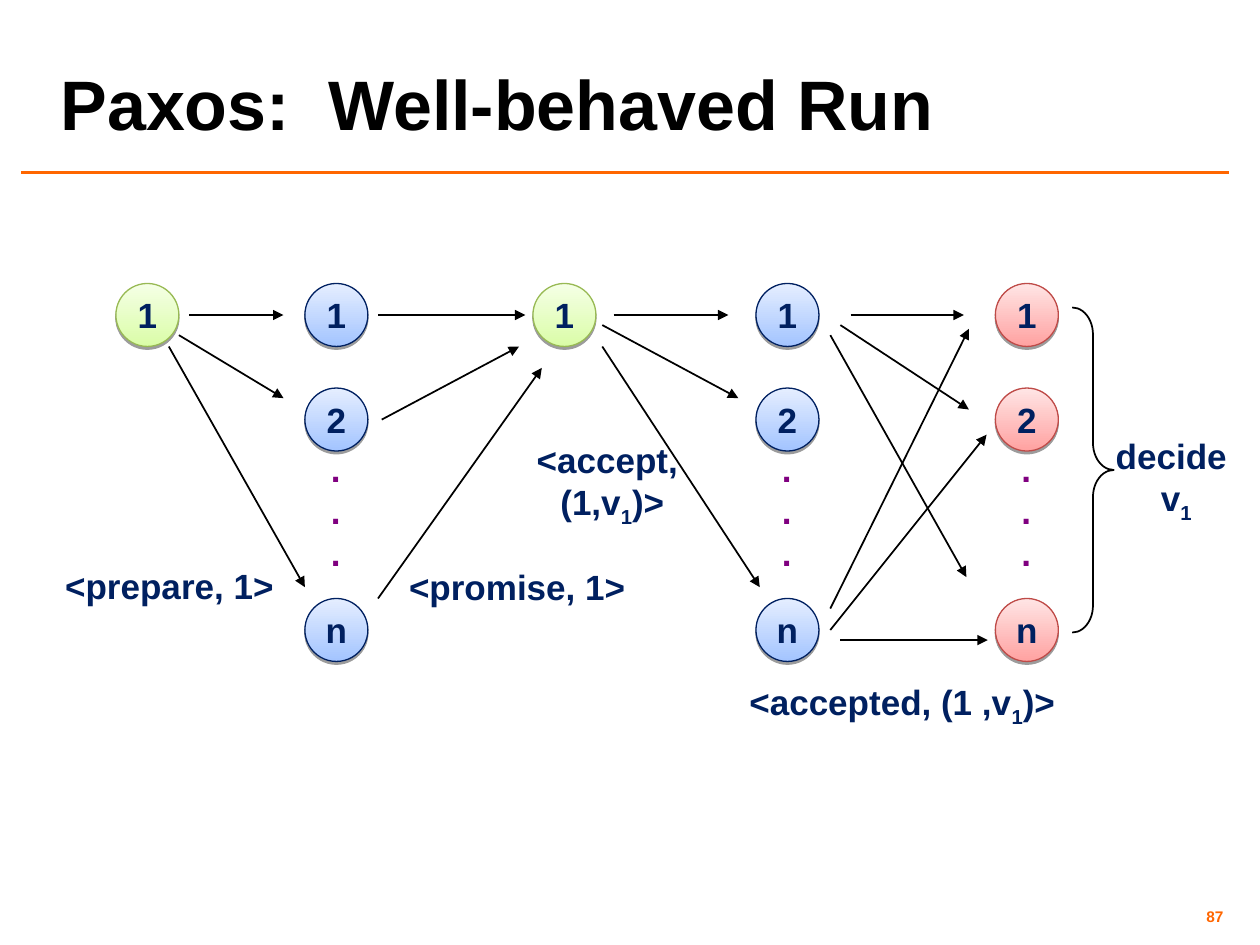
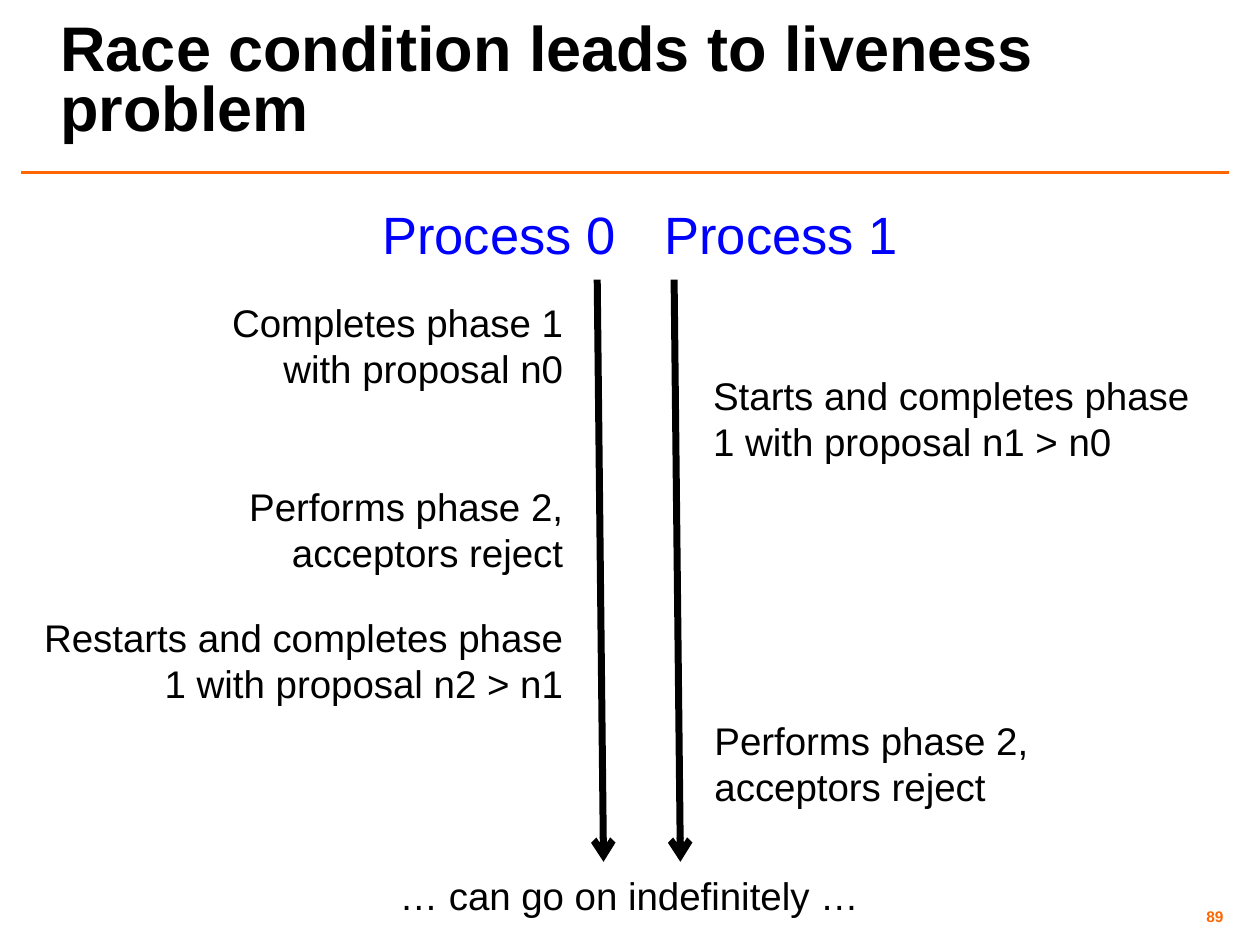
from dataclasses import dataclass

from lxml.etree import SubElement
from pptx import Presentation
from pptx.dml.color import RGBColor
from pptx.enum.shapes import MSO_CONNECTOR, MSO_SHAPE
from pptx.enum.text import MSO_ANCHOR, MSO_AUTO_SIZE, PP_ALIGN
from pptx.oxml.ns import qn
from pptx.util import Emu, Pt

PX = 9144  # 100 px to the inch


@dataclass(frozen=True)
class Theme:
    font: str = "Arial"
    black: str = "000000"
    orange: str = "FF6600"
    navy: str = "002060"
    purple: str = "800080"
    blue: str = "0000FF"
    page_size: float = 8.8
    label_size: int = 20
    step_size: int = 22
    process_size: int = 30


THEME = Theme()
LEFT, CENTER, RIGHT = PP_ALIGN.LEFT, PP_ALIGN.CENTER, PP_ALIGN.RIGHT
WIDE_MARGINS, NARROW_MARGINS = (10, 5), (4, 4)

# Paxos run: role -> (bottom colour, top colour, outline)
ROLE_COLORS = {
    "proposer": ("DAFDA7", "F5FFE6", "98B954"),
    "acceptor": ("A3C4FF", "E5EEFF", THEME.navy),
    "learner": ("FFA2A1", "FFE5E5", "BE4B48"),
}
NODE_SIZE = 50
NODE_TOPS = {"1": 225, "2": 308, "n": 475}
NODE_COLUMNS = [
    (92, "proposer"), (242, "acceptor"), (423, "proposer"),
    (600, "acceptor"), (790, "learner"),
]
MESSAGES = [
    # prepare
    (150, 250, 225, 250), (142, 266, 225, 316), (134, 275, 242, 466),
    # promise
    (300, 250, 417, 250), (303, 333, 412, 275), (300, 475, 430, 292),
    # accept
    (487, 250, 578, 250), (478, 258, 586, 316), (478, 275, 603, 466),
    # accepted
    (675, 250, 765, 250), (667, 258, 769, 325), (659, 266, 767, 458),
    (659, 483, 769, 261), (659, 500, 783, 345), (667, 508, 784, 508),
]
# An underscore puts the next character in subscript
MESSAGE_LABELS = [
    (["<prepare, 1>"], (42, 443, 185, 44)),
    (["<promise, 1>"], (315, 444, 191, 44)),
    (["<accept, ", "(1,v_1)>"], (416, 343, 140, 82)),
    (["<accepted, (1 ,v_1)>"], (585, 535, 262, 48)),
    (["decide ", "v_1"], (855, 340, 157, 82)),
]
DECISION_BRACE = (851, 244, 33, 258)

# Race condition
PROCESSES = [("Process 0", 254), ("Process 1", 478)]
TIMELINES = [(474, 222, 479, 684), (535, 222, 540, 684)]
STEPS = [
    ("Completes phase 1 with proposal n0", (167, 233, 284, 132), RIGHT),
    ("Starts and completes phase 1 with proposal n1 > n0", (562, 291, 396, 129), LEFT),
    ("Performs phase 2, acceptors reject", (154, 379, 297, 93), RIGHT),
    ("Restarts and completes phase 1 with proposal n2 > n1", (24, 483, 427, 103), RIGHT),
    ("Performs phase 2, acceptors reject", (563, 565, 338, 94), LEFT),
    ("… can go on indefinitely …", (285, 688, 429, 45), CENTER),
]


def px(*lengths):
    return [Emu(length * PX) for length in lengths]


def rgb(color):
    return RGBColor.from_string(color)


def set_lines(frame, lines, size, color, align=LEFT, bold=False, spacing=None):
    for index, line in enumerate(lines):
        paragraph = frame.paragraphs[0] if index == 0 else frame.add_paragraph()
        paragraph.alignment = align
        paragraph.line_spacing = spacing
        font = paragraph.font
        font.name, font.size, font.bold = THEME.font, Pt(size), bold
        font.color.rgb = rgb(color)
        base, *lowered = line.split("_")
        paragraph.add_run().text = base
        for part in lowered:
            subscript = paragraph.add_run()
            subscript.text = part[0]
            subscript.font._element.set("baseline", "-25000")
            if part[1:]:
                paragraph.add_run().text = part[1:]


def set_frame(frame, margins, anchor=MSO_ANCHOR.TOP, wrap=True):
    side, edge = px(*margins)
    frame.margin_left = frame.margin_right = side
    frame.margin_top = frame.margin_bottom = edge
    frame.auto_size = MSO_AUTO_SIZE.NONE
    frame.vertical_anchor = anchor
    frame.word_wrap = wrap


def add_text(slide, lines, box, size, color, align=LEFT, bold=False,
             margins=NARROW_MARGINS, anchor=MSO_ANCHOR.TOP, wrap=True, spacing=None):
    frame = slide.shapes.add_textbox(*px(*box)).text_frame
    set_frame(frame, margins, anchor, wrap)
    set_lines(frame, lines, size, color, align, bold, spacing)


def add_line(slide, ends, color, width, head=None):
    connector = slide.shapes.add_connector(MSO_CONNECTOR.STRAIGHT, *px(*ends))
    connector.line.color.rgb = rgb(color)
    connector.line.width = Pt(width)
    properties = connector._element.spPr
    if head:
        SubElement(properties.find(qn("a:ln")), qn("a:tailEnd"), type=head)
    SubElement(properties, qn("a:effectLst"))


def add_node(slide, label, left, top, role):
    bottom_color, top_color, outline = ROLE_COLORS[role]
    node = slide.shapes.add_shape(MSO_SHAPE.OVAL, *px(left, top, NODE_SIZE, NODE_SIZE))
    node.fill.gradient()
    node.fill.gradient_angle = 90
    for stop, color in zip(node.fill.gradient_stops, (bottom_color, top_color)):
        stop.color.rgb = rgb(color)
    node.line.color.rgb = rgb(outline)
    node.line.width = Pt(0.75)
    add_drop_shadow(node)
    set_frame(node.text_frame, WIDE_MARGINS, MSO_ANCHOR.MIDDLE, wrap=False)
    set_lines(node.text_frame, [label], THEME.label_size, THEME.navy, CENTER, bold=True)


def add_drop_shadow(shape):
    shape.shadow.inherit = False
    effects = shape._element.spPr.find(qn("a:effectLst"))
    shadow = SubElement(effects, qn("a:outerShdw"), blurRad="0", dist=str(Pt(1.6)),
                        dir="5400000", rotWithShape="0")
    color = SubElement(shadow, qn("a:srgbClr"), val=THEME.black)
    SubElement(color, qn("a:alpha"), val="38000")


def add_brace(slide, box):
    brace = slide.shapes.add_shape(MSO_SHAPE.RIGHT_BRACE, *px(*box))
    brace.adjustments[0] = 0.65
    brace.shadow.inherit = False
    brace.fill.background()
    brace.line.color.rgb = rgb(THEME.black)
    brace.line.width = Pt(1)


def add_titled_slide(presentation, title_text, title_width, title_size, page):
    slide = presentation.slides.add_slide(presentation.slide_layouts.get_by_name("Title Only"))
    title = slide.shapes.title
    title.left, title.top, title.width, title.height = px(38, 2, title_width, 117)
    set_frame(title.text_frame, WIDE_MARGINS, MSO_ANCHOR.BOTTOM)
    set_lines(title.text_frame, [title_text], title_size, THEME.black, bold=True, spacing=0.8)
    add_line(slide, (17, 137, 975, 137), THEME.orange, 2)
    add_text(slide, [page], (742, 717, 233, 23), THEME.page_size, THEME.orange, RIGHT,
             bold=True, anchor=MSO_ANCHOR.MIDDLE, spacing=0.8)
    return slide


def build_paxos_run(presentation):
    slide = add_titled_slide(presentation, "Paxos:  Well-behaved Run", 937, 40, "87")
    for message in MESSAGES:
        add_line(slide, message, THEME.black, 1, "triangle")
    for left, role in NODE_COLUMNS:
        if role == "proposer":
            add_node(slide, "1", left, NODE_TOPS["1"], role)
            continue
        for label, top in NODE_TOPS.items():
            add_node(slide, label, left, top, role)
        add_text(slide, ["."] * 3, (left + 8, 350, 33, 110), THEME.label_size,
                 THEME.purple, CENTER, bold=True, margins=WIDE_MARGINS)
    for lines, box in MESSAGE_LABELS:
        add_text(slide, lines, box, THEME.label_size, THEME.navy, CENTER, bold=True,
                 margins=WIDE_MARGINS, wrap=False)
    add_brace(slide, DECISION_BRACE)


def build_race_condition(presentation):
    slide = add_titled_slide(
        presentation, "Race condition leads to liveness problem", 962, 36, "89")
    for name, left in PROCESSES:
        add_text(slide, [name], (left, 156, 284, 64), THEME.process_size, THEME.blue, CENTER)
    for timeline in TIMELINES:
        add_line(slide, timeline, THEME.black, 4, "arrow")
    for text, box, align in STEPS:
        add_text(slide, [text], box, THEME.step_size, THEME.black, align)


def main():
    presentation = Presentation()
    presentation.slide_width, presentation.slide_height = px(1000, 750)
    build_paxos_run(presentation)
    build_race_condition(presentation)
    presentation.save("out.pptx")


if __name__ == "__main__":
    main()
